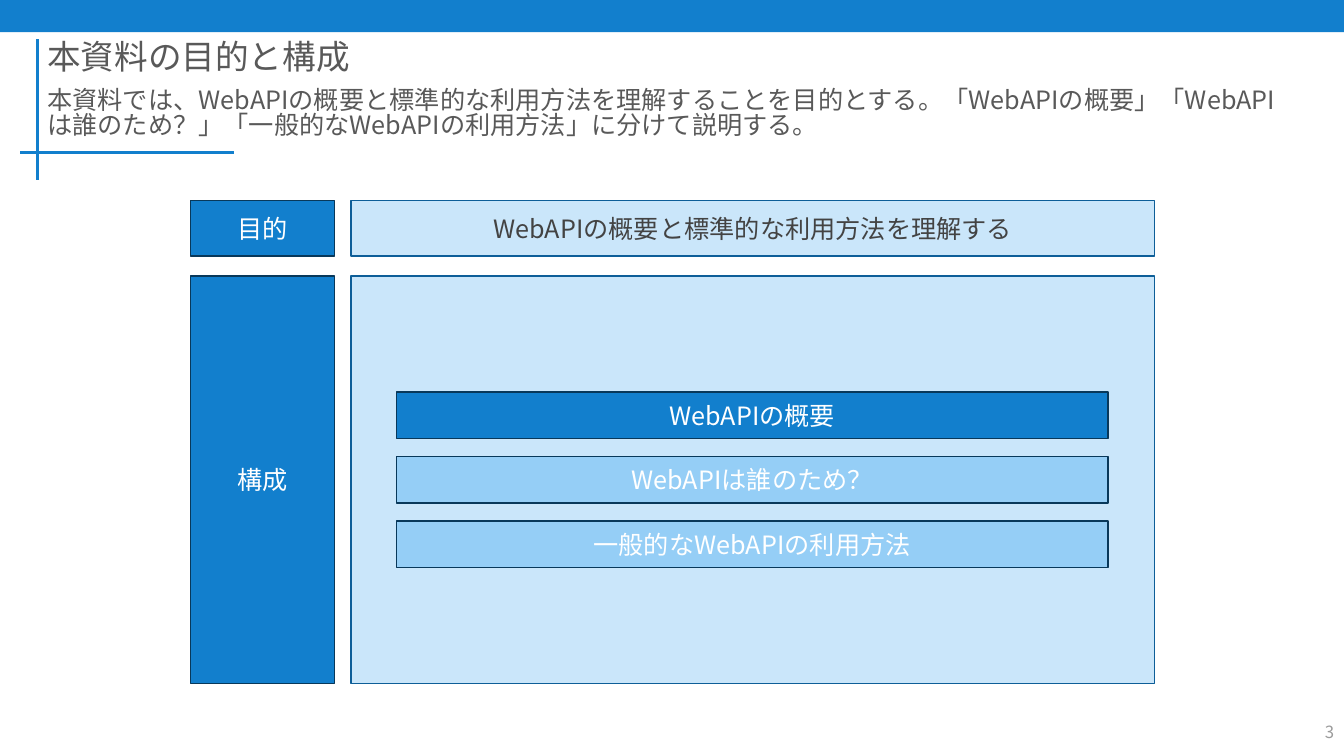
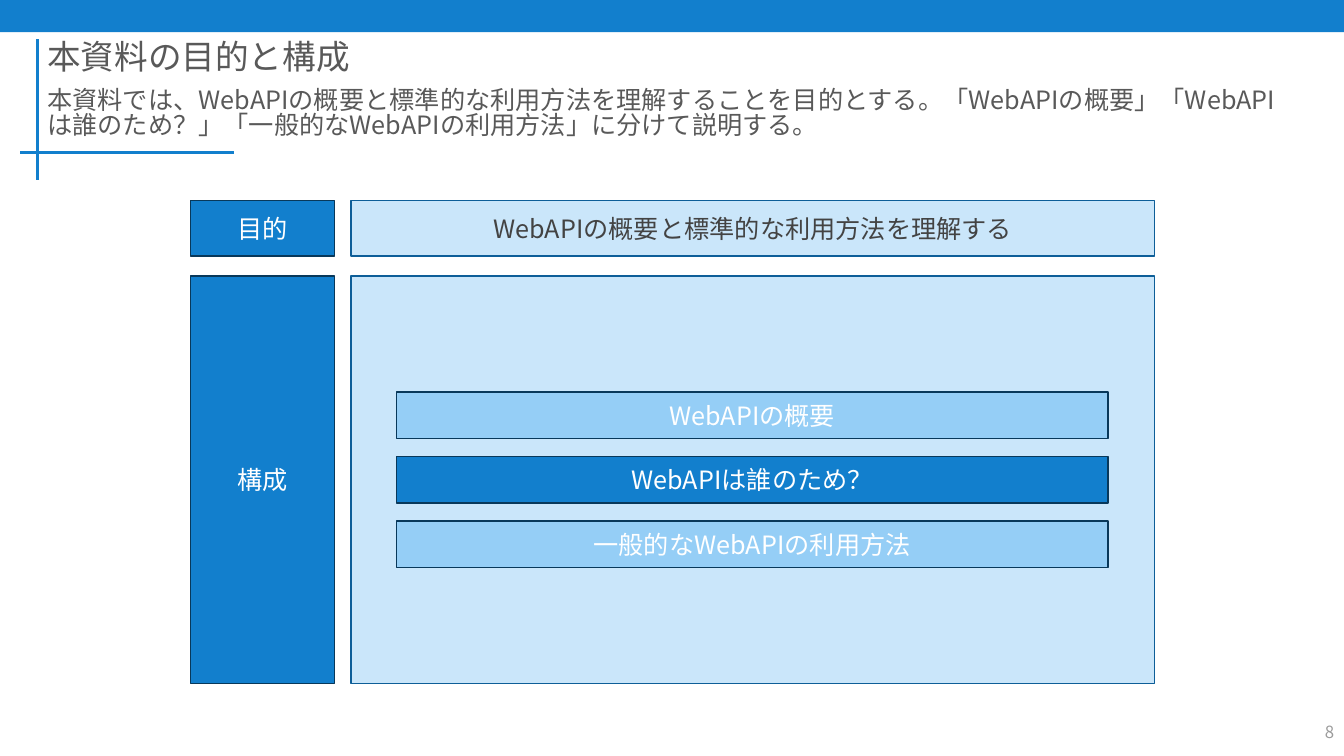
"""Build two agenda slides that each highlight one section of the document."""
from lxml.etree import SubElement
from pptx import Presentation
from pptx.dml.color import RGBColor
from pptx.enum.shapes import MSO_CONNECTOR, MSO_SHAPE
from pptx.enum.text import MSO_ANCHOR, PP_ALIGN
from pptx.oxml.ns import qn
from pptx.util import Inches, Pt

COLORS = {
    "blue": "127FCD",
    "mid": "95CEF6",
    "pale": "CAE6FA",
    "navy": "08385A",
    "edge": "0D5E98",
    "title": "595959",
    "text": "434343",
    "number": "9B9B9B",
    "white": "FFFFFF",
}
FONT = "Noto Sans CJK JP"
TITLE = "本資料の目的と構成"
LEAD = (
    "本資料では、WebAPIの概要と標準的な利用方法を理解することを目的とする。"
    "「WebAPIの概要」「WebAPIは誰のため？」「一般的なWebAPIの利用方法」に分けて説明する。"
)
PURPOSE = "WebAPIの概要と標準的な利用方法を理解する"
SECTIONS = ["WebAPIの概要", "WebAPIは誰のため？", "一般的なWebAPIの利用方法"]

LABEL_X, LABEL_W = 1.89, 1.43
PANEL_X, PANEL_W = 3.48, 7.97
PURPOSE_Y, PURPOSE_H = 1.99, 0.55
OUTLINE_Y, OUTLINE_H = 2.74, 4.04
BAR_X, BAR_Y, BAR_W, BAR_H, BAR_STEP = 3.93, 3.89, 7.06, 0.46, 0.64


def rgb(name):
    return RGBColor.from_string(COLORS[name])


class Deck:
    def __init__(self):
        self.prs = Presentation()
        self.prs.slide_width = Inches(13.33)
        self.prs.slide_height = Inches(7.5)
        self.s = None

    def add_slide(self, number):
        self.s = self.prs.slides.add_slide(self.prs.slide_layouts[6])
        self.box(0, 0, 13.33, 0.32, "blue")
        self.line(0.37, 0.39, 0.37, 1.79)
        self.line(2.32, 1.51, 0.2, 1.51)
        self.text(0.37, 0.32, 12.6, 0.52, TITLE, 24, "title", spacing=0.9)
        self.text(0.37, 0.85, 12.6, 0.63, LEAD, 18, "title",
                  anchor=MSO_ANCHOR.TOP, spacing=0.8, before=10)
        self.text(12.78, 7.1, 0.55, 0.32, str(number), 12, "number",
                  align=PP_ALIGN.RIGHT)

    def set_text(self, sp, text, size, color, align, anchor):
        tf = sp.text_frame
        tf.word_wrap = True
        tf.vertical_anchor = anchor
        p = tf.paragraphs[0]
        p.text = text
        p.alignment = align
        p.font.name = FONT
        p.font.size = Pt(size)
        p.font.color.rgb = rgb(color)
        props = p._p.get_or_add_pPr().find(qn("a:defRPr"))
        SubElement(props, qn("a:ea")).set("typeface", FONT)
        return p

    def text(self, x, y, w, h, text, size, color, align=PP_ALIGN.LEFT,
             anchor=MSO_ANCHOR.MIDDLE, spacing=1.0, before=0):
        sp = self.s.shapes.add_textbox(Inches(x), Inches(y), Inches(w), Inches(h))
        p = self.set_text(sp, text, size, color, align, anchor)
        p.line_spacing = spacing
        p.space_before = Pt(before)

    def box(self, x, y, w, h, fill, edge=None, text=None, color="white"):
        sp = self.s.shapes.add_shape(
            MSO_SHAPE.RECTANGLE, Inches(x), Inches(y), Inches(w), Inches(h))
        sp.shadow.inherit = False
        sp.fill.solid()
        sp.fill.fore_color.rgb = rgb(fill)
        if edge:
            sp.line.color.rgb = rgb(edge)
            sp.line.width = Pt(1)
        else:
            sp.line.fill.background()
        if text:
            self.set_text(sp, text, 18, color, PP_ALIGN.CENTER, MSO_ANCHOR.MIDDLE)

    def line(self, x1, y1, x2, y2):
        c = self.s.shapes.add_connector(
            MSO_CONNECTOR.STRAIGHT, Inches(x1), Inches(y1), Inches(x2), Inches(y2))
        c.line.color.rgb = rgb("blue")
        c.line.width = Pt(2.25)
        SubElement(c._element.spPr, qn("a:effectLst"))

    def agenda(self, number, current):
        self.add_slide(number)
        self.box(LABEL_X, PURPOSE_Y, LABEL_W, PURPOSE_H, "blue", "navy", "目的")
        self.box(PANEL_X, PURPOSE_Y, PANEL_W, PURPOSE_H, "pale", "edge", PURPOSE, "text")
        self.box(LABEL_X, OUTLINE_Y, LABEL_W, OUTLINE_H, "blue", "navy", "構成")
        self.box(PANEL_X, OUTLINE_Y, PANEL_W, OUTLINE_H, "pale", "edge")
        for i, section in enumerate(SECTIONS):
            fill = "blue" if i == current else "mid"
            self.box(BAR_X, BAR_Y + i * BAR_STEP, BAR_W, BAR_H, fill, "navy", section)


def main():
    deck = Deck()
    for number, current in [(3, 0), (8, 1)]:
        deck.agenda(number, current)
    deck.prs.save("out.pptx")


if __name__ == "__main__":
    main()
